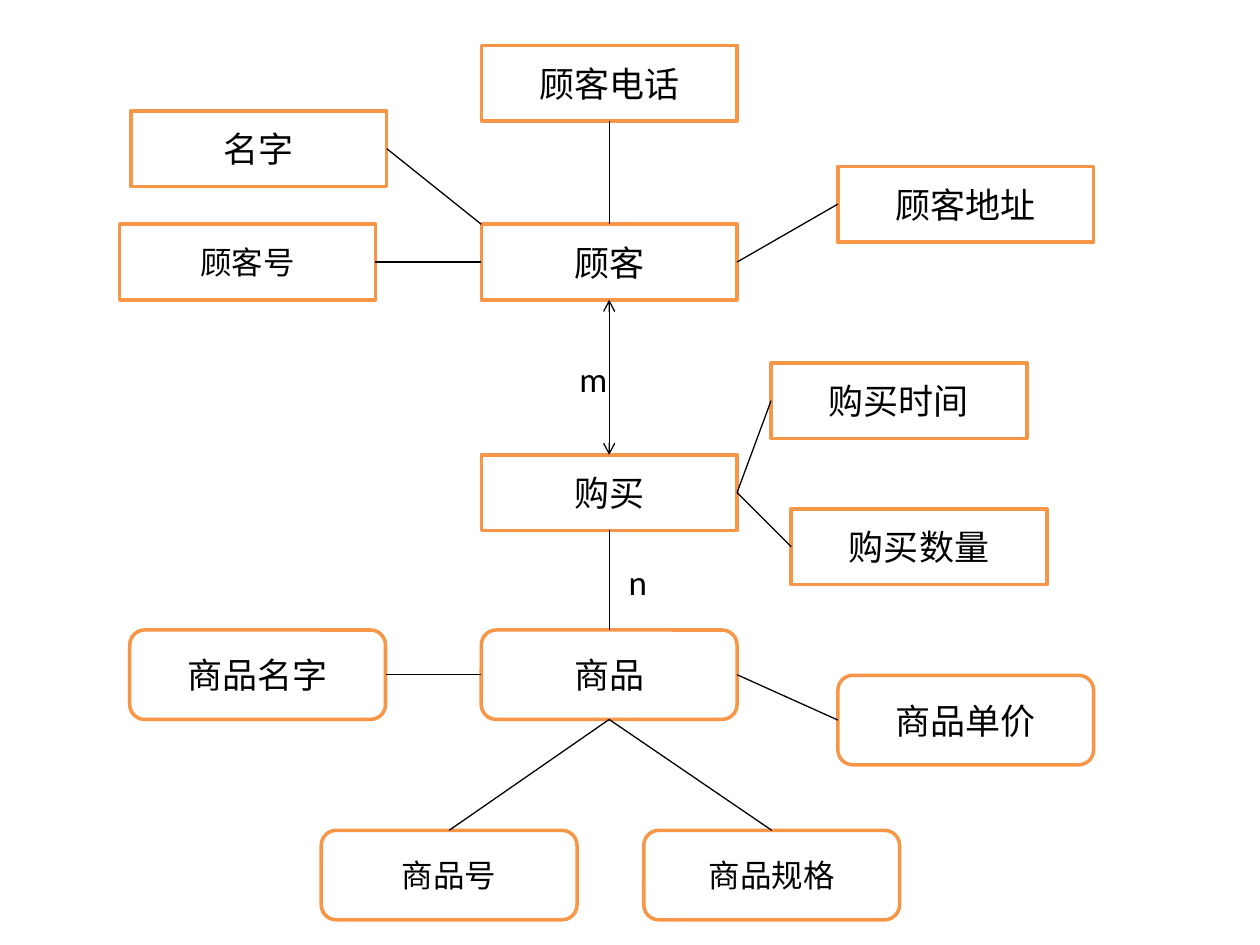
from dataclasses import dataclass
from enum import IntEnum

from lxml.etree import SubElement
from pptx import Presentation
from pptx.dml.color import RGBColor
from pptx.enum.shapes import MSO_CONNECTOR, MSO_SHAPE
from pptx.enum.text import MSO_ANCHOR, MSO_AUTO_SIZE, PP_ALIGN
from pptx.oxml.ns import qn
from pptx.shapes.autoshape import Shape
from pptx.slide import Slide
from pptx.text.text import TextFrame
from pptx.util import Inches, Pt

WHITE = RGBColor(0xFF, 0xFF, 0xFF)
BLACK = RGBColor(0x00, 0x00, 0x00)
ORANGE = RGBColor(0xF7, 0x96, 0x46)
BOX_WIDTH = 2.03
HEIGHTS = {MSO_SHAPE.RECTANGLE: 0.6, MSO_SHAPE.ROUNDED_RECTANGLE: 0.71}


class Side(IntEnum):
    TOP = 0
    LEFT = 1
    BOTTOM = 2
    RIGHT = 3
    CORNER = 4


@dataclass(frozen=True)
class Node:
    text: str
    left: float
    top: float
    size: int = 20
    kind: MSO_SHAPE = MSO_SHAPE.RECTANGLE


@dataclass(frozen=True)
class Link:
    start: str
    start_side: Side
    end: str
    end_side: Side
    arrows: bool = False


@dataclass(frozen=True)
class Label:
    text: str
    left: float
    top: float


ROUNDED = MSO_SHAPE.ROUNDED_RECTANGLE
NODES = [
    Node("顾客", 3.82, 1.78),
    Node("名字", 1.04, 0.88),
    Node("顾客电话", 3.82, 0.36),
    Node("顾客地址", 6.65, 1.32),
    Node("顾客号", 0.95, 1.78, 18),
    Node("购买", 3.82, 3.61),
    Node("购买时间", 6.12, 2.88),
    Node("购买数量", 6.28, 4.04),
    Node("商品", 3.82, 5, kind=ROUNDED),
    Node("商品号", 2.55, 6.59, 18, ROUNDED),
    Node("商品规格", 5.11, 6.59, 18, ROUNDED),
    Node("商品单价", 6.65, 5.36, kind=ROUNDED),
    Node("商品名字", 1.03, 5, kind=ROUNDED),
]
LINKS = [
    Link("名字", Side.RIGHT, "顾客", Side.CORNER),
    Link("顾客号", Side.RIGHT, "顾客", Side.LEFT),
    Link("顾客电话", Side.BOTTOM, "顾客", Side.TOP),
    Link("顾客地址", Side.LEFT, "顾客", Side.RIGHT),
    Link("顾客", Side.BOTTOM, "购买", Side.TOP, arrows=True),
    Link("购买", Side.RIGHT, "购买数量", Side.LEFT),
    Link("购买", Side.RIGHT, "购买时间", Side.LEFT),
    Link("购买", Side.BOTTOM, "商品", Side.TOP),
    Link("商品", Side.LEFT, "商品名字", Side.RIGHT),
    Link("商品", Side.BOTTOM, "商品号", Side.TOP),
    Link("商品", Side.BOTTOM, "商品规格", Side.TOP),
    Link("商品", Side.RIGHT, "商品单价", Side.LEFT),
]
LABELS = [Label("m", 4.5, 2.79), Label("n", 4.89, 4.4)]


def write(frame: TextFrame, text: str, size: int, align: PP_ALIGN) -> None:
    frame.word_wrap = True
    para = frame.paragraphs[0]
    para.alignment = align
    span = para.add_run()
    span.text = text
    for name, value in {"name": "Calibri", "size": Pt(size)}.items():
        setattr(span.font, name, value)
    span.font.color.rgb = BLACK


def draw_node(page: Slide, node: Node) -> Shape:
    box = page.shapes.add_shape(
        node.kind, Inches(node.left), Inches(node.top),
        Inches(BOX_WIDTH), Inches(HEIGHTS[node.kind]),
    )
    box.shadow.inherit = False
    box.fill.solid()
    box.fill.fore_color.rgb = WHITE
    box.line.color.rgb = ORANGE
    box.line.width = Pt(2)
    box.text_frame.vertical_anchor = MSO_ANCHOR.MIDDLE
    write(box.text_frame, node.text, node.size, PP_ALIGN.CENTER)
    return box


def draw_link(page: Slide, link: Link, boxes: dict[str, Shape]) -> None:
    start, end = boxes[link.start], boxes[link.end]
    line = page.shapes.add_connector(
        MSO_CONNECTOR.STRAIGHT, start.left, start.top, end.left, end.top
    )
    line.begin_connect(start, link.start_side.value)
    if link.end_side is not Side.CORNER:
        line.end_connect(end, link.end_side.value)
    line.line.color.rgb = BLACK
    line.line.width = Pt(0.75)
    if link.arrows:
        outline = line.line._get_or_add_ln()
        for tag in ("a:headEnd", "a:tailEnd"):
            SubElement(outline, qn(tag), type="arrow")
    SubElement(line._element.spPr, qn("a:effectLst"))


def draw_label(page: Slide, label: Label) -> None:
    box = page.shapes.add_textbox(
        Inches(label.left), Inches(label.top), Inches(0.22), Inches(0.44)
    )
    write(box.text_frame, label.text, 20, PP_ALIGN.LEFT)
    box.text_frame.auto_size = MSO_AUTO_SIZE.SHAPE_TO_FIT_TEXT


def main() -> None:
    deck = Presentation()
    deck.slide_width = Inches(10)
    deck.slide_height = Inches(7.5)
    page = deck.slides.add_slide(deck.slide_layouts[6])
    boxes = {node.text: draw_node(page, node) for node in NODES}
    for link in LINKS:
        draw_link(page, link, boxes)
    for label in LABELS:
        draw_label(page, label)
    deck.save("out.pptx")


main()
